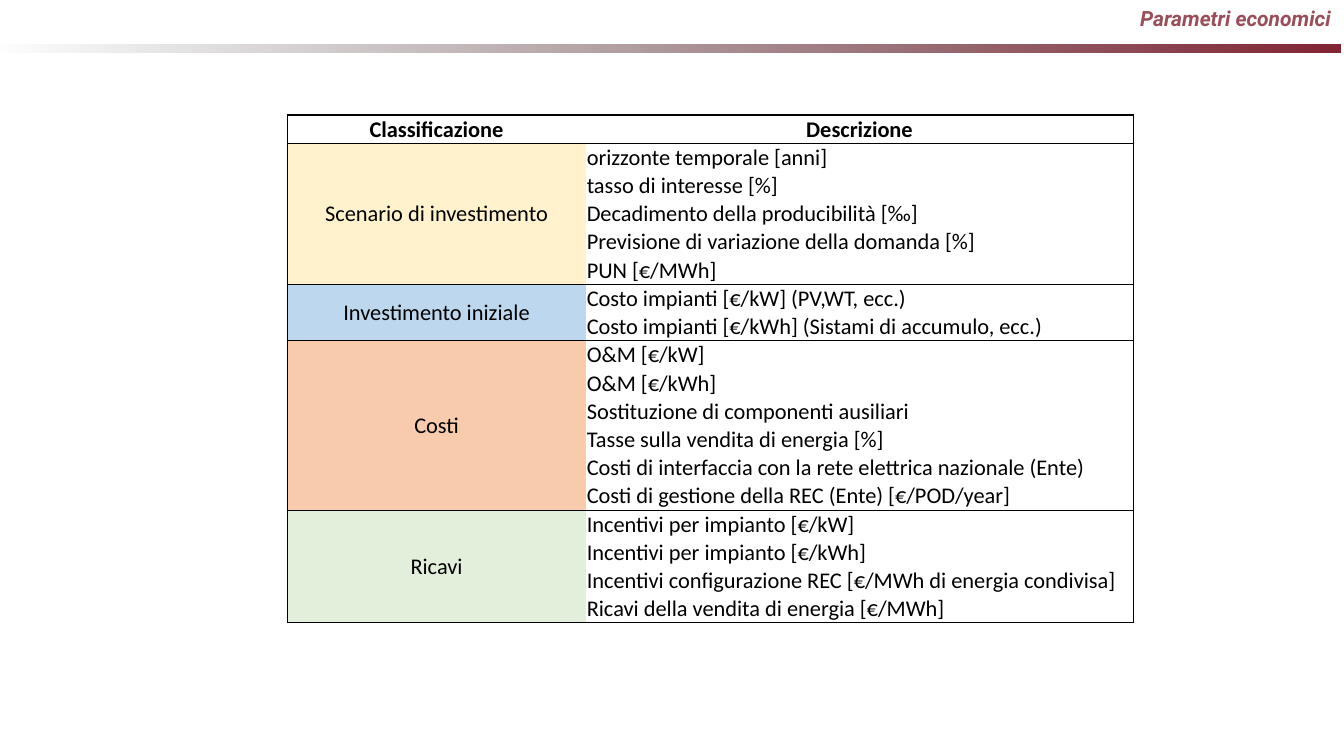
import pptx
import pptx.util
import pptx.dml.color
import pptx.enum.text
import pptx.enum.shapes
import pptx.oxml
import pptx.oxml.ns
import lxml.etree

Inches = pptx.util.Inches
Pt = pptx.util.Pt
RGBColor = pptx.dml.color.RGBColor
Align = pptx.enum.text.PP_ALIGN
Anchor = pptx.enum.text.MSO_ANCHOR
qn = pptx.oxml.ns.qn

BLACK = RGBColor(0x00, 0x00, 0x00)
GRAY = RGBColor(0x38, 0x38, 0x38)
WINE = RGBColor(0x82, 0x24, 0x33)
ROSE = RGBColor(0x9A, 0x4E, 0x5A)
YELLOW = RGBColor(0xFF, 0xF2, 0xCC)
BLUE = RGBColor(0xBD, 0xD7, 0xEE)
ORANGE = RGBColor(0xF8, 0xCB, 0xAD)
GREEN = RGBColor(0xE2, 0xEF, 0xDA)

TITLE = "Parametri economici"
HEADERS = ("Classificazione", "Descrizione")
GROUPS = [
    ("Scenario di investimento", YELLOW, [
        "orizzonte temporale [anni]",
        "tasso di interesse [%]",
        "Decadimento della producibilità [‰]",
        "Previsione di variazione della domanda [%]",
        "PUN [€/MWh]",
    ]),
    ("Investimento iniziale", BLUE, [
        "Costo impianti [€/kW] (PV,WT, ecc.)",
        "Costo impianti [€/kWh] (Sistami di accumulo, ecc.)",
    ]),
    ("Costi", ORANGE, [
        "O&M [€/kW]",
        "O&M [€/kWh]",
        "Sostituzione di componenti ausiliari",
        "Tasse sulla vendita di energia [%]",
        "Costi di interfaccia con la rete elettrica nazionale (Ente)",
        "Costi di gestione della REC (Ente) [€/POD/year]",
    ]),
    ("Ricavi", GREEN, [
        "Incentivi per impianto [€/kW]",
        "Incentivi per impianto [€/kWh]",
        "Incentivi configurazione REC [€/MWh di energia condivisa]",
        "Ricavi della vendita di energia [€/MWh]",
    ]),
]
COLUMN_WIDTHS = (2.96, 5.43)
ROW_HEIGHT = 0.28
TABLE_LEFT, TABLE_TOP = 2.85, 1.14
OUTER, INNER = 1, 0.5


def format_text(frame, font_name, size, color, align, bold=False, italic=False):
    para = frame.paragraphs[0]
    para.alignment = align
    for span in para.runs:
        font = span.font
        font.name, font.size, font.color.rgb = font_name, Pt(size), color
        font.bold, font.italic = bold, italic
    return para


def fill_cell(cell, text, align, anchor, bold=False):
    cell.text_frame.text = text
    cell.vertical_anchor = anchor
    cell.margin_left = cell.margin_right = Inches(0.01)
    cell.margin_top = Pt(0.5)
    cell.margin_bottom = 0
    format_text(cell.text_frame, "Calibri", 16, BLACK, align, bold)


def style_cell(cell, color=None, **widths):
    properties = cell._tc.get_or_add_tcPr()
    for side in ("L", "R", "T", "B"):
        width = widths.get(side, 0)
        line = lxml.etree.SubElement(properties, qn("a:ln" + side), w=str(Pt(width)))
        if width:
            solid = lxml.etree.SubElement(line, qn("a:solidFill"))
            lxml.etree.SubElement(solid, qn("a:srgbClr"), val=str(BLACK))
        else:
            lxml.etree.SubElement(line, qn("a:noFill"))
    if color is None:
        cell.fill.background()
    else:
        cell.fill.solid()
        cell.fill.fore_color.rgb = color


deck = pptx.Presentation()
deck.slide_width, deck.slide_height = Inches(13.33), Inches(7.5)
page = deck.slides.add_slide(deck.slide_layouts[5])

band = page.shapes.add_shape(
    pptx.enum.shapes.MSO_SHAPE.RECTANGLE,
    Inches(-0.11), Inches(0.44), Inches(13.41), Inches(0.08))
band.shadow.inherit = False
band.line.fill.background()
band.fill.gradient()
band.fill.gradient_angle = 180
for stop, color in zip(band.fill.gradient_stops, (WINE, GRAY)):
    stop.color.rgb = color
faded = band._element.spPr.findall(".//" + qn("a:srgbClr"))[-1]
lxml.etree.SubElement(faded, qn("a:alpha"), val="0")

title = page.shapes.title
title.left, title.top, title.width, title.height = map(Inches, (2.57, 0.03, 10.73, 0.41))
title.text_frame.text = TITLE
title.text_frame.vertical_anchor = Anchor.TOP
heading = format_text(title.text_frame, "Roboto", 15, ROSE, Align.RIGHT, True, True)
heading.line_spacing = 0.9

row_count = 1 + sum(len(items) for _, _, items in GROUPS)
table = page.shapes.add_table(
    row_count, len(HEADERS), Inches(TABLE_LEFT), Inches(TABLE_TOP),
    Inches(sum(COLUMN_WIDTHS)), Inches(ROW_HEIGHT * row_count)).table
table.first_row = table.horz_banding = False
for column, width in zip(table.columns, COLUMN_WIDTHS):
    column.width = Inches(width)
for row in table.rows:
    row.height = Inches(ROW_HEIGHT)

for column, (header, side) in enumerate(zip(HEADERS, "LR")):
    cell = table.cell(0, column)
    fill_cell(cell, header, Align.CENTER, Anchor.BOTTOM, True)
    style_cell(cell, **{side: OUTER, "T": OUTER, "B": OUTER})

first = 1
for name, color, items in GROUPS:
    last = first + len(items) - 1
    top = OUTER if first == 1 else INNER
    bottom = OUTER if last == row_count - 1 else INNER
    for row, item in enumerate(items, first):
        above = top if row == first else 0
        below = bottom if row == last else 0
        label_below = bottom if row in (first, last) else 0
        fill_cell(table.cell(row, 1), item, Align.LEFT, Anchor.BOTTOM)
        style_cell(table.cell(row, 1), R=OUTER, T=above, B=below)
        style_cell(table.cell(row, 0), color, L=OUTER, T=above, B=label_below)
    label = table.cell(first, 0)
    label.merge(table.cell(last, 0))
    fill_cell(label, name, Align.CENTER, Anchor.MIDDLE)
    first = last + 1

deck.save("out.pptx")
